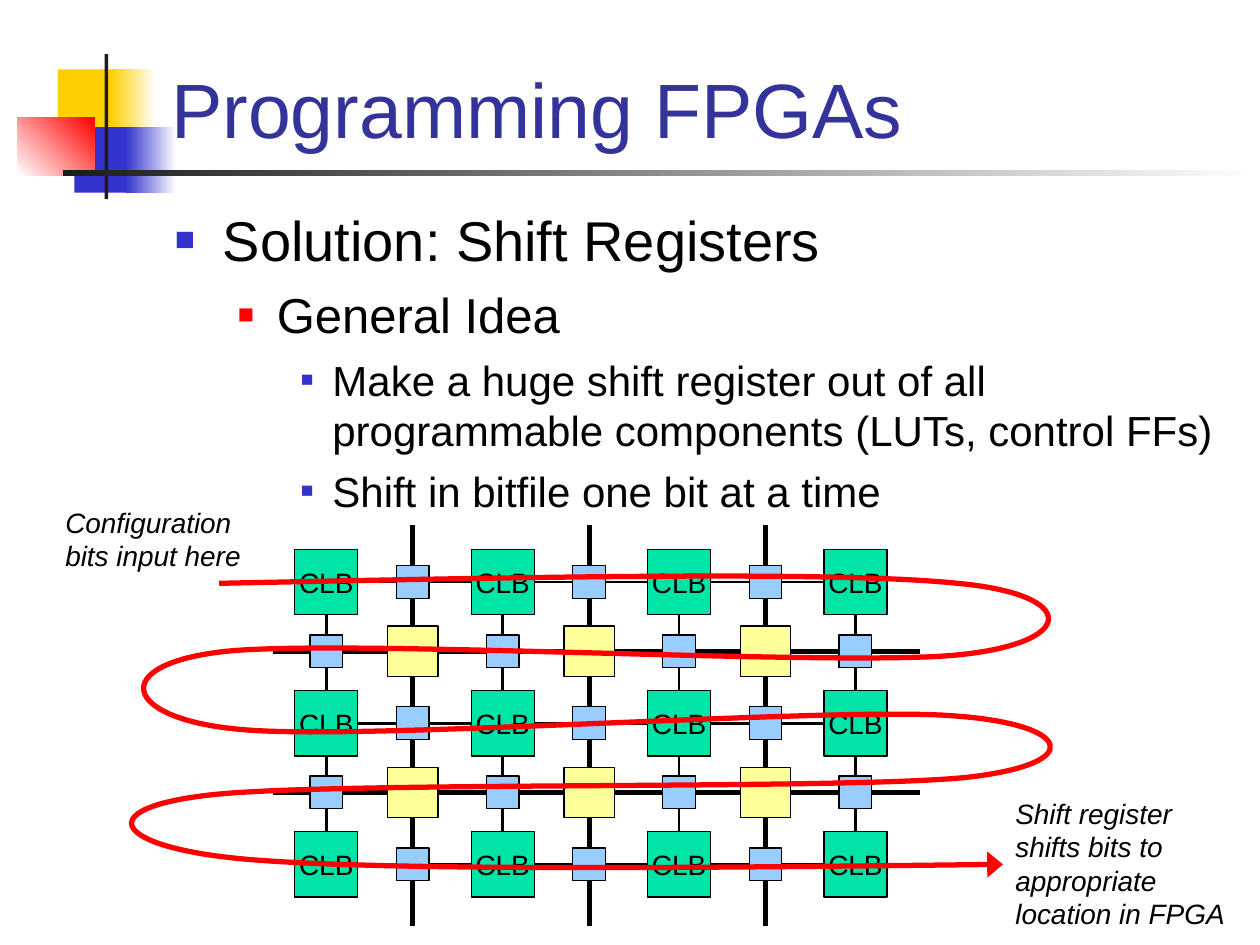
import pptx
import pptx.dml.color
import pptx.enum.shapes
import pptx.enum.text
import pptx.oxml
import pptx.oxml.ns
import pptx.util
from pptx.util import Inches

COLORS = {
    "gold": "FFCF01", "blue": "3333CC", "red": "FF0000", "white": "FFFFFF",
    "ink": "1C1C1C", "title": "333399", "black": "000000",
    "clb": "00E4A8", "switch": "FFFF99", "connection": "99CCFF",
}
ROWS, COLUMNS = 3, 4
PITCH_X, PITCH_Y = 1.4, 1.12
HALF = 0.49
CLB_SIZE, SWITCH_SIZE, CONNECTION_SIZE = (0.5, 0.52), (0.4, 0.4), (0.26, 0.26)
TOP, LEFT, BOTTOM, RIGHT = range(4)


def rgb(name):
    return pptx.dml.color.RGBColor.from_string(COLORS[name])


def add_xml(parent, tag, **attributes):
    child = pptx.oxml.parse_xml(f"<a:{tag} {pptx.oxml.ns.nsdecls('a')}/>")
    for key, value in attributes.items():
        child.set(key, value)
    parent.append(child)
    return child


def set_font(para, size, color="black", italic=False):
    para.font.name = "Arial"
    para.font.size = pptx.util.Pt(size)
    para.font.italic = italic
    para.font.color.rgb = rgb(color)


def add_rectangle(shapes, box, fill, fade_to=None, angle=0, outlined=False):
    shape = shapes.add_shape(pptx.enum.shapes.MSO_SHAPE.RECTANGLE, *map(Inches, box))
    shape.shadow.inherit = False
    if fade_to:
        shape.fill.gradient()
        shape.fill.gradient_angle = angle
        for stop, color in zip(shape.fill.gradient_stops, (fill, fade_to)):
            stop.color.rgb = rgb(color)
    else:
        shape.fill.solid()
        shape.fill.fore_color.rgb = rgb(fill)
    if outlined:
        shape.line.color.rgb = rgb("black")
        shape.line.width = pptx.util.Pt(0.75)
    else:
        shape.line.fill.background()
    return shape


def add_line(shapes, start, end, width):
    line = shapes.add_connector(
        pptx.enum.shapes.MSO_CONNECTOR.STRAIGHT, *map(Inches, (*start, *end)))
    line.line.color.rgb = rgb("black")
    line.line.width = pptx.util.Pt(width)
    add_xml(line._element.spPr, "effectLst")
    return line


def join(shapes, first, first_side, second, second_side):
    line = add_line(shapes, (0, 0), (0, 0), 1.5)
    line.begin_connect(first, first_side)
    line.end_connect(second, second_side)


def add_text_frame(page, box):
    frame = page.shapes.add_textbox(*map(Inches, box)).text_frame
    frame.word_wrap = True
    return frame


def add_ornament(page, box):
    x, y = box[:2]
    shapes = page.shapes
    add_rectangle(shapes, (x + 0.32, y + 0.12, 0.48, 0.52), "gold")
    add_rectangle(shapes, (x + 0.74, y + 0.12, 0.36, 0.52), "gold", "white")
    add_rectangle(shapes, (x + 0.45, y + 0.58, 0.46, 0.52), "blue")
    add_rectangle(shapes, (x + 0.86, y + 0.58, 0.4, 0.52), "blue", "white")
    add_rectangle(shapes, (x, y + 0.5, 0.61, 0.46), "white", "red", 45)
    add_rectangle(shapes, (x + 0.69, y, 0.03, box[3]), "ink")
    add_rectangle(shapes, (x + 0.36, y + 0.92, box[2] - 0.36, 0.05), "ink", "white")


def add_title(page, box, text):
    frame = add_text_frame(page, box)
    frame.vertical_anchor = pptx.enum.text.MSO_ANCHOR.BOTTOM
    frame.text = text
    set_font(frame.paragraphs[0], 44, "title")


def add_outline(page, box, items):
    levels = [
        (32, 0.38, 0.38, 8, "blue", "60000"),
        (28, 0.81, 0.31, 7, "red", "55000"),
        (24, 1.25, 0.25, 6, "blue", "50000"),
    ]
    frame = add_text_frame(page, box)
    for index, (level, text) in enumerate(items):
        size, margin, hanging, before, color, bullet_size = levels[level]
        para = frame.add_paragraph() if index else frame.paragraphs[0]
        para.text = text
        para.level = level
        properties = para._p.get_or_add_pPr()
        properties.set("marL", str(Inches(margin)))
        properties.set("indent", str(-Inches(hanging)))
        add_xml(add_xml(properties, "buClr"), "srgbClr", val=COLORS[color])
        add_xml(properties, "buSzPct", val=bullet_size)
        add_xml(properties, "buFont", typeface="Arial")
        add_xml(properties, "buChar", char="■")
        if index:
            para.space_before = pptx.util.Pt(before)
        set_font(para, size)


def add_block(shapes, center, size, fill, label=None):
    (x, y), (width, height) = center, size
    box = (x - width / 2, y - height / 2, width, height)
    block = add_rectangle(shapes, box, fill, outlined=True)
    if label:
        frame = block.text_frame
        frame.word_wrap = False
        frame.vertical_anchor = pptx.enum.text.MSO_ANCHOR.MIDDLE
        frame.text = label
        frame.paragraphs[0].alignment = pptx.enum.text.PP_ALIGN.CENTER
        set_font(frame.paragraphs[0], 16)
    return block


def add_fabric(page, box):
    left, top, width, height = box
    shapes = page.shapes.add_group_shape().shapes

    def center(row, column):
        return left + 0.42 + column * PITCH_X, top + 0.45 + row * PITCH_Y

    for row in range(ROWS - 1):
        y = center(row + HALF, 0)[1]
        for start, end in ((0, 2.22), (4.27, 2.12), (width, 3.53)):
            add_line(shapes, (left + start, y), (left + end, y), 3)
    for column in range(COLUMNS - 1):
        x = center(0, column + HALF)[0]
        add_line(shapes, (x, top), (x, top + height), 3)
    cells = [[add_block(shapes, center(row, column), CLB_SIZE, "clb", "CLB")
              for column in range(COLUMNS)] for row in range(ROWS)]
    for row in range(ROWS):
        for column in range(COLUMNS):
            cell = cells[row][column]
            across, down = column < COLUMNS - 1, row < ROWS - 1
            if across:
                block = add_block(shapes, center(row, column + HALF),
                                  CONNECTION_SIZE, "connection")
                join(shapes, cell, RIGHT, block, LEFT)
                join(shapes, block, RIGHT, cells[row][column + 1], LEFT)
            if down:
                block = add_block(shapes, center(row + HALF, column),
                                  CONNECTION_SIZE, "connection")
                join(shapes, cell, BOTTOM, block, TOP)
                join(shapes, block, BOTTOM, cells[row + 1][column], TOP)
            if across and down:
                add_block(shapes, center(row + HALF, column + HALF), SWITCH_SIZE, "switch")


def curve_segments(shape):
    segments = list(shape._element.iter(pptx.oxml.ns.qn("a:lnTo")))
    for first in range(0, len(segments), 3):
        curve = add_xml(segments[first].getparent(), "cubicBezTo")
        for segment in segments[first:first + 3]:
            curve.append(segment[0])
            segment.getparent().remove(segment)


def add_shift_path(page, box):
    x, y = box[:2]
    start = (1.04, 0.1)
    curves = [
        ((3.48, 0.05), (5.93, 0), (6.9, 0.1)),
        ((7.88, 0.19), (7.85, 0.58), (6.88, 0.67)),
        ((5.91, 0.76), (2.04, 0.54), (1.09, 0.64)),
        ((0.15, 0.74), (0.26, 1.18), (1.22, 1.26)),
        ((2.17, 1.35), (5.88, 1.08), (6.84, 1.15)),
        ((7.8, 1.21), (7.95, 1.53), (6.97, 1.64)),
        ((5.99, 1.74), (1.91, 1.67), (0.96, 1.78)),
        ((0, 1.89), (0.21, 2.2), (1.26, 2.29)),
        ((2.31, 2.38), (4.78, 2.36), (7.26, 2.33)),
    ]
    points = [(Inches(x + dx), Inches(y + dy)) for dx, dy in [start, *sum(curves, ())]]
    builder = page.shapes.build_freeform(*points[0])
    builder.add_line_segments(points[1:], close=False)
    route = builder.convert_to_shape()
    curve_segments(route)
    route.shadow.inherit = False
    route.fill.background()
    route.line.color.rgb = rgb("red")
    route.line.width = pptx.util.Pt(3)
    add_xml(route.line._get_or_add_ln(), "tailEnd", type="triangle", w="lg", len="med")


def add_callout(page, box, text):
    frame = add_text_frame(page, box)
    frame.text = text
    set_font(frame.paragraphs[0], 16, italic=True)


def main():
    deck = pptx.Presentation()
    deck.slide_width, deck.slide_height = Inches(10), Inches(7.5)
    page = deck.slides.add_slide(deck.slide_layouts[6])
    add_ornament(page, (0.14, 0.43, 9.86, 1.15))
    add_title(page, (1.26, 0.02, 8.52, 1.25), "Programming FPGAs")
    add_outline(page, (1.29, 1.58, 8.5, 5.12), [
        (0, "Solution: Shift Registers"),
        (1, "General Idea"),
        (2, "Make a huge shift register out of all programmable components (LUTs, control FFs)"),
        (2, "Shift in bitfile one bit at a time"),
    ])
    add_fabric(page, (2.17, 4.17, 5.13, 3.18))
    add_shift_path(page, (0.7, 4.53, 7.94, 2.39))
    add_callout(page, (0.42, 3.96, 1.77, 0.64), "Configuration bits input here")
    add_callout(page, (7.96, 6.27, 1.95, 1.17),
                "Shift register shifts bits to appropriate location in FPGA")
    deck.save("out.pptx")


if __name__ == "__main__":
    main()
